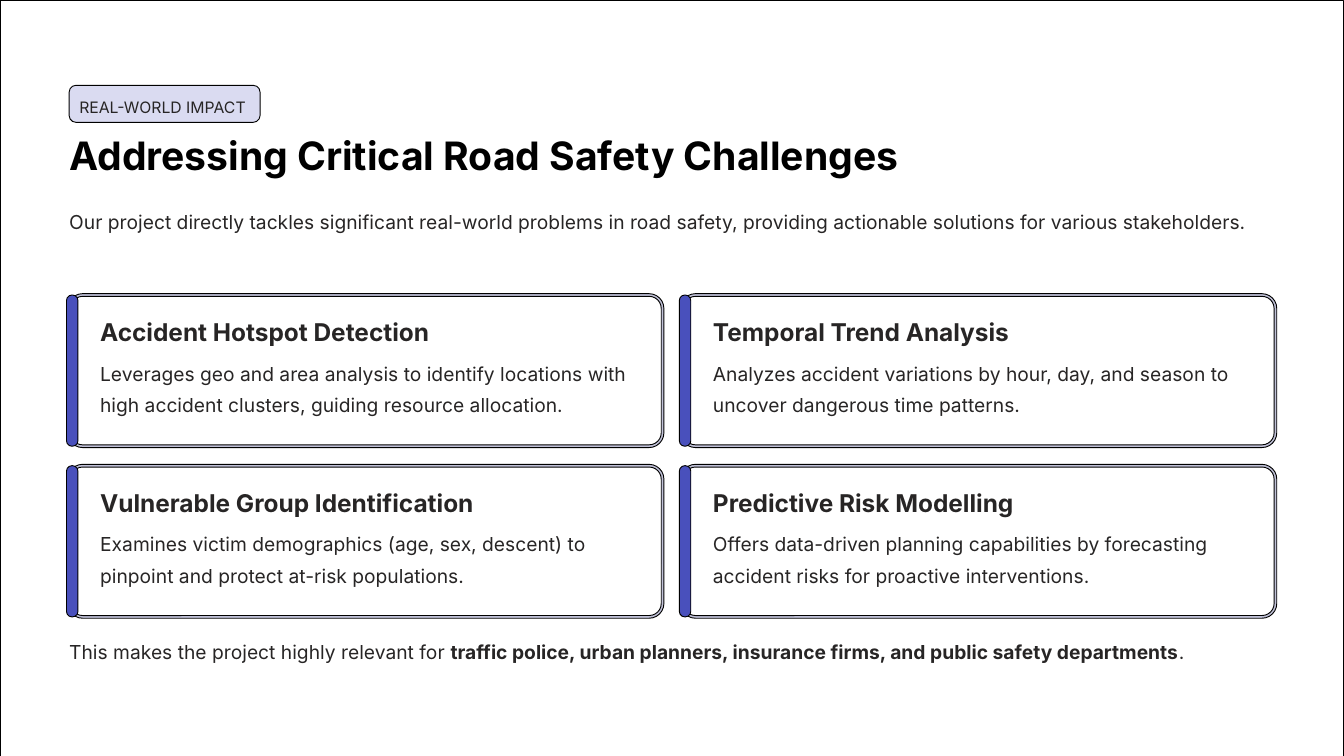
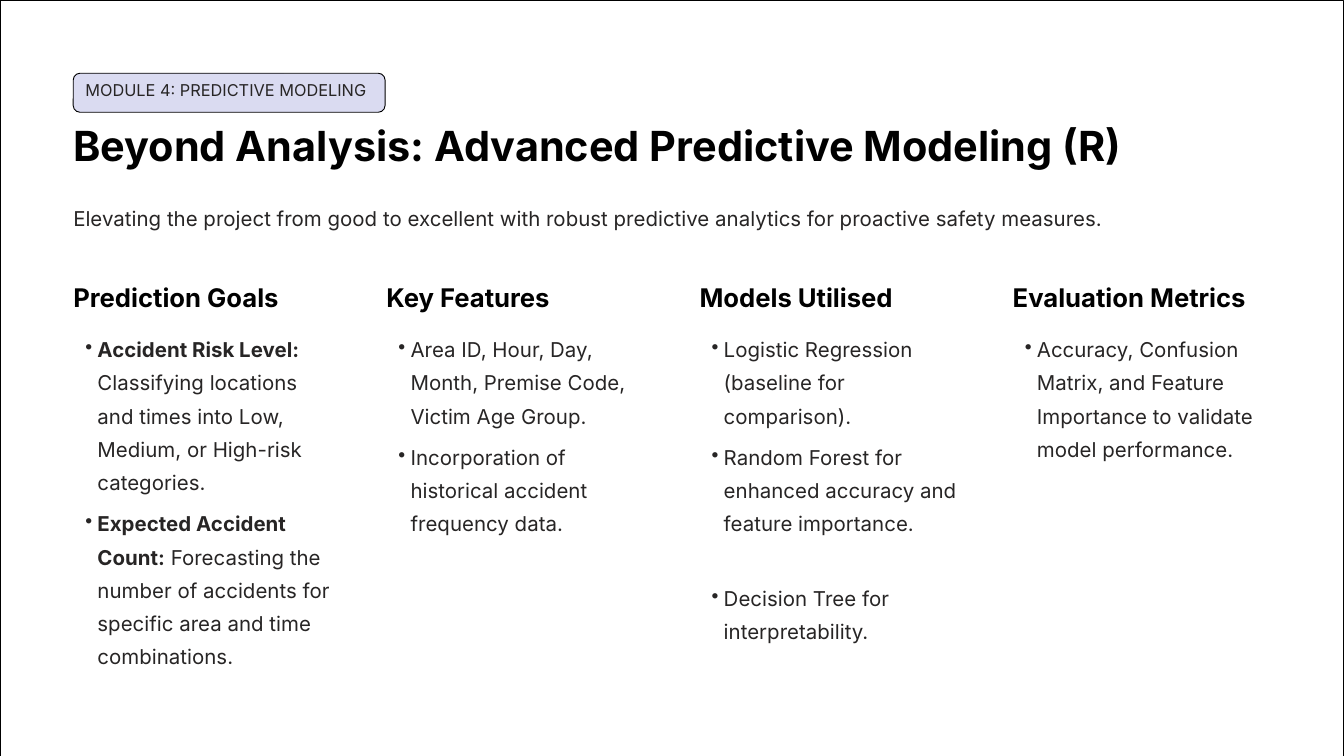
from dataclasses import dataclass

from lxml.etree import SubElement
from pptx import Presentation
from pptx.dml.color import RGBColor
from pptx.enum.shapes import MSO_SHAPE
from pptx.enum.text import MSO_ANCHOR, MSO_AUTO_SIZE
from pptx.oxml.ns import qn
from pptx.util import Inches, Pt

SLIDE_WIDTH, SLIDE_HEIGHT = 20, 11.25
FONT = "Inter"
BLACK = RGBColor(0x00, 0x00, 0x00)
WHITE = RGBColor(0xFF, 0xFF, 0xFF)
INK = RGBColor(0x27, 0x25, 0x25)
LAVENDER = RGBColor(0xDA, 0xDB, 0xF1)
FRAME_GREY = RGBColor(0xC0, 0xC1, 0xD7)
INDIGO = RGBColor(0x49, 0x50, 0xBC)

BULLET_INDENT = 0.18
FRAME_WIDTH = 0.04

IMPACT_CARDS = [
    ("Accident Hotspot Detection", 4.95,
     "Leverages geo and area analysis to identify locations with high accident "
     "clusters, guiding resource allocation."),
    ("Temporal Trend Analysis", 4.45,
     "Analyzes accident variations by hour, day, and season to uncover "
     "dangerous time patterns."),
    ("Vulnerable Group Identification", 5.62,
     "Examines victim demographics (age, sex, descent) to pinpoint and protect "
     "at-risk populations."),
    ("Predictive Risk Modelling", 4.52,
     "Offers data-driven planning capabilities by forecasting accident risks "
     "for proactive interventions."),
]

MODEL_COLUMNS = [
    ("Prediction Goals", [
        (5, "**Accident Risk Level:** Classifying locations and times into Low, "
            "Medium, or High-risk categories."),
        (5, "**Expected Accident Count:** Forecasting the number of accidents for "
            "specific area and time combinations."),
    ]),
    ("Key Features", [
        (3, "Area ID, Hour, Day, Month, Premise Code, Victim Age Group."),
        (3, "Incorporation of historical accident frequency data."),
    ]),
    ("Models Utilised", [
        (3, "Logistic Regression (baseline for comparison)."),
        (4, "Random Forest for enhanced accuracy and feature importance."),
        (2, "Decision Tree for interpretability."),
    ]),
    ("Evaluation Metrics", [
        (4, "Accuracy, Confusion Matrix, and Feature Importance to validate "
            "model performance."),
    ]),
]


@dataclass
class Grid:
    """Evenly spaced cells measured in inches."""

    left: float
    top: float
    column_step: float
    row_step: float = 0

    def cell(self, column, row=0):
        """Return the top left corner of a cell."""
        return self.left + column * self.column_step, self.top + row * self.row_step


@dataclass
class TextStyle:
    """Size, line pitch, colour and weight of a kind of text."""

    size: float
    pitch: float
    color: RGBColor = INK
    bold: bool = False


CARD_GRID = Grid(1.03, 4.39, 9.12, 2.54)
COLUMN_GRID = Grid(1.09, 4.17, 4.66)

IMPACT_LABEL = TextStyle(16.9, 26.9)
IMPACT_TITLE = TextStyle(41.9, 52.5, BLACK, True)
IMPACT_BODY = TextStyle(20.6, 33.7)
CARD_TITLE = TextStyle(26.2, 32.5, bold=True)
MODEL_LABEL = TextStyle(17.5, 28.1)
MODEL_TITLE = TextStyle(44.4, 55.6, BLACK, True)
MODEL_BODY = TextStyle(21.9, 35.6)
COLUMN_TITLE = TextStyle(27.5, 34.4, BLACK, True)


def inches(*lengths):
    """Convert several lengths to slide units."""
    return [Inches(length) for length in lengths]


def add_bullet(paragraph):
    """Give a paragraph a hanging round bullet."""
    paragraph.level = 1
    properties = paragraph._p.get_or_add_pPr()
    properties.set("marL", str(Inches(2 * BULLET_INDENT)))
    properties.set("indent", str(-Inches(BULLET_INDENT)))
    SubElement(properties, qn("a:buChar")).set("char", "•")


def add_text(slide, text, area, *, style, bullet=False):
    """Place text, with the parts between double asterisks in bold."""
    frame = slide.shapes.add_textbox(*inches(*area)).text_frame
    frame.margin_left = frame.margin_top = frame.margin_right = frame.margin_bottom = 0
    frame.word_wrap = True
    frame.auto_size = MSO_AUTO_SIZE.SHAPE_TO_FIT_TEXT
    frame.vertical_anchor = MSO_ANCHOR.TOP
    paragraph = frame.paragraphs[0]
    paragraph.line_spacing = Pt(style.pitch)
    if bullet:
        add_bullet(paragraph)
    for index, part in enumerate(text.split("**")):
        if part:
            run = paragraph.add_run()
            run.text = part
            run.font.name = FONT
            run.font.size = Pt(style.size)
            run.font.bold = style.bold or index % 2 == 1
            run.font.color.rgb = style.color


def add_panel(slide, area, fill, radius=0):
    """Draw an outlined panel, rounded when a radius is given."""
    kind = MSO_SHAPE.ROUNDED_RECTANGLE if radius else MSO_SHAPE.RECTANGLE
    panel = slide.shapes.add_shape(kind, *inches(*area))
    if radius:
        panel.adjustments[0] = radius / min(area[2:])
    panel.shadow.inherit = False
    panel.fill.solid()
    panel.fill.fore_color.rgb = fill
    panel.line.color.rgb = BLACK
    panel.line.width = Pt(1)


def add_page(deck):
    """Add a blank slide with the outlined white page."""
    slide = deck.slides.add_slide(deck.slide_layouts[6])
    add_panel(slide, (0, 0, SLIDE_WIDTH, SLIDE_HEIGHT), WHITE)
    return slide


def add_label(slide, text, chip_area, text_area, style):
    """Add the lavender section label above a title."""
    add_panel(slide, chip_area, LAVENDER, radius=0.1)
    add_text(slide, text, text_area, style=style)


def add_card(slide, corner, title, title_width, body):
    """Add a framed card with an indigo bar, a title and a body."""
    left, top = corner
    width, height = 8.83, 2.25
    for inset, fill in ((-FRAME_WIDTH / 2, FRAME_GREY), (FRAME_WIDTH / 2, WHITE)):
        face = (left + inset, top + inset, width - 2 * inset, height - 2 * inset)
        add_panel(slide, face, fill, radius=0.2 - inset)
    add_panel(slide, (left - 0.04, top, 0.17, height), INDIGO, radius=0.08)
    text_left = left + 0.46
    add_text(slide, title, (text_left, top + 0.32, title_width, 0.47), style=CARD_TITLE)
    add_text(slide, body, (text_left, top + 0.87, 8.03, 1.04), style=IMPACT_BODY)


def add_column(slide, corner, heading, points):
    """Add a heading with its bullets stacked by their line counts."""
    left, top = corner
    width = 3.89
    add_text(slide, heading, (left, top, width, 0.51), style=COLUMN_TITLE)
    top += 0.72
    for lines, point in points:
        height = lines * MODEL_BODY.pitch / 72 + 0.1
        add_text(slide, point, (left, top, width, height), style=MODEL_BODY, bullet=True)
        top += height + 0.02


def build_impact(deck):
    """Build the slide on real-world impact."""
    slide = add_page(deck)
    left, width = CARD_GRID.left, SLIDE_WIDTH - 2 * CARD_GRID.left
    add_label(slide, "REAL-WORLD IMPACT", (left, 1.27, 2.84, 0.55),
              (left + 0.15, 1.36, 2.54, 0.34), IMPACT_LABEL)
    add_text(slide, "Addressing Critical Road Safety Challenges",
             (left, 1.92, 12.47, 0.76), style=IMPACT_TITLE)
    add_text(slide, "Our project directly tackles significant real-world problems in road "
             "safety, providing actionable solutions for various stakeholders.",
             (left, 3.01, width, 1.04), style=IMPACT_BODY)
    for index, card in enumerate(IMPACT_CARDS):
        row, column = divmod(index, 2)
        add_card(slide, CARD_GRID.cell(column, row), *card)
    add_text(slide, "This makes the project highly relevant for **traffic police, urban "
             "planners, insurance firms, and public safety departments**.",
             (left, 9.4, width, 0.57), style=IMPACT_BODY)


def build_modeling(deck):
    """Build the slide on predictive modeling."""
    slide = add_page(deck)
    left, width = COLUMN_GRID.left, SLIDE_WIDTH - 2 * COLUMN_GRID.left
    add_label(slide, "MODULE 4: PREDICTIVE MODELING", (left, 1.09, 4.64, 0.58),
              (left + 0.18, 1.1, 4.27, 0.48), MODEL_LABEL)
    add_text(slide, "Beyond Analysis: Advanced Predictive Modeling (R)",
             (left, 1.76, 15.7, 0.81), style=MODEL_TITLE)
    add_text(slide, "Elevating the project from good to excellent with robust predictive "
             "analytics for proactive safety measures.",
             (left, 2.94, width, 0.59), style=MODEL_BODY)
    for index, (heading, points) in enumerate(MODEL_COLUMNS):
        add_column(slide, COLUMN_GRID.cell(index), heading, points)


def main():
    """Build and save the deck."""
    deck = Presentation()
    deck.slide_width, deck.slide_height = inches(SLIDE_WIDTH, SLIDE_HEIGHT)
    build_impact(deck)
    build_modeling(deck)
    deck.save("out.pptx")


if __name__ == "__main__":
    main()
